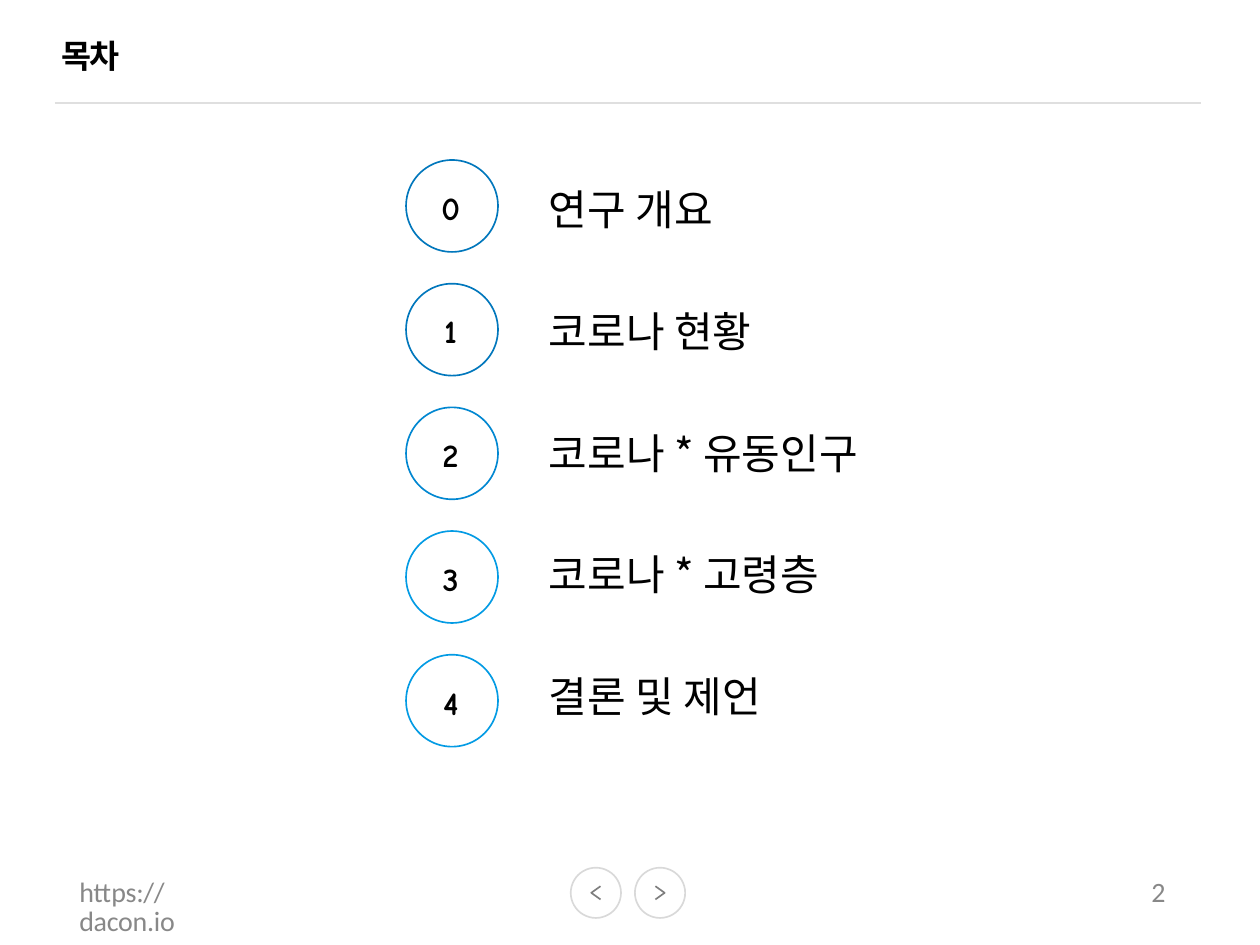
from pptx import Presentation
from pptx.dml.color import RGBColor
from pptx.enum.shapes import MSO_CONNECTOR, MSO_SHAPE
from pptx.enum.text import MSO_ANCHOR, MSO_AUTO_SIZE, PP_ALIGN
from pptx.oxml.ns import qn
from pptx.util import Cm, Pt
from lxml.etree import SubElement

TITLE = "목차"
AGENDA = [
    ("0", "연구 개요", "blue_dark"),
    ("1", "코로나 현황", "blue_dark"),
    ("2", "코로나 * 유동인구", "blue_mid"),
    ("3", "코로나 * 고령층", "blue_light"),
    ("4", "결론 및 제언", "blue_light"),
]
FOOTER = [("https://dacon.io", 1.2, 2.6), ("2", 17.41, 0.6)]
NAVIGATION = [(9.01, -1), (9.98, 1)]

COLORS = {
    "black": "000000",
    "footer": "888888",
    "rule": "DFDFDF",
    "ring": "D9D9D9",
    "chevron": "7E7E7E",
    "blue_dark": "0177BC",
    "blue_mid": "0187D1",
    "blue_light": "039BE4",
}
KOREAN = "Noto Sans CJK KR"
TITLE_FONT = {"name": KOREAN, "size": Pt(14), "bold": True}
LABEL_FONT = {"name": KOREAN, "size": Pt(18)}
NUMBER_FONT = {"name": "Comic Neue", "size": Pt(14), "bold": True}
FOOTER_FONT = {"name": "Calibri", "size": Pt(12)}

SLIDE_WIDTH = Cm(19.05)
SLIDE_HEIGHT = SLIDE_WIDTH * 3 // 4
CIRCLE_LEFT, CIRCLE_TOP, CIRCLE_SIZE, CIRCLE_PITCH = 6.14, 2.42, 1.39, 1.87
LABEL_LEFT, LABEL_TOP, LABEL_PITCH = 8.05, 2.65, 1.84
NAV_MIDDLE, NAV_SIZE = 13.5, 0.76


def color(name):
    return RGBColor.from_string(COLORS[name])


def set_line(shape, name):
    shape.line.color.rgb = color(name)
    shape.line.width = Pt(0.72)


def set_frame(frame, margins=(0, 0, 0, 0), anchor=MSO_ANCHOR.TOP):
    left, top, right, bottom = (Cm(margin) for margin in margins)
    settings = {
        "margin_left": left, "margin_top": top,
        "margin_right": right, "margin_bottom": bottom,
        "word_wrap": True, "auto_size": MSO_AUTO_SIZE.NONE,
        "vertical_anchor": anchor,
    }
    for key, value in settings.items():
        setattr(frame, key, value)


def add_run(paragraph, text, font, color_name="black", spacing=0):
    run = paragraph.add_run()
    run.text = text
    for key, value in font.items():
        setattr(run.font, key, value)
    run.font.color.rgb = color(color_name)
    properties = run.font._element
    SubElement(properties, qn("a:ea")).set("typeface", font["name"])
    if spacing:
        properties.set("spc", str(spacing))


def add_circle(slide, left, top, size, line):
    circle = slide.shapes.add_shape(
        MSO_SHAPE.OVAL, Cm(left), Cm(top), Cm(size), Cm(size))
    circle.shadow.inherit = False
    circle.fill.background()
    set_line(circle, line)
    return circle


def add_box(slide, left, top, width, height, margins=(0, 0, 0, 0)):
    box = slide.shapes.add_textbox(Cm(left), Cm(top), Cm(width), Cm(height))
    set_frame(box.text_frame, margins)
    return box.text_frame.paragraphs[0]


def add_title(slide):
    title = slide.shapes.title
    title.left, title.top, title.width, title.height = (
        Cm(0.93), Cm(0.48), Cm(1.2), Cm(0.66))
    set_frame(title.text_frame, (0, 0.06, 0, 0))
    paragraph = title.text_frame.paragraphs[0]
    paragraph.alignment = PP_ALIGN.LEFT
    add_run(paragraph, TITLE, TITLE_FONT, spacing=-80)
    rule = slide.shapes.add_connector(
        MSO_CONNECTOR.STRAIGHT, Cm(0.83), Cm(1.56), Cm(18.16), Cm(1.56))
    set_line(rule, "rule")
    SubElement(rule._element.spPr, qn("a:effectLst"))


def add_agenda(slide):
    for row, (number, text, line) in enumerate(AGENDA):
        circle = add_circle(
            slide, CIRCLE_LEFT, CIRCLE_TOP + row * CIRCLE_PITCH, CIRCLE_SIZE, line)
        set_frame(circle.text_frame, (0, 0.04, 0.04, 0), MSO_ANCHOR.MIDDLE)
        paragraph = circle.text_frame.paragraphs[0]
        paragraph.alignment = PP_ALIGN.CENTER
        add_run(paragraph, number, NUMBER_FONT)

        label = add_box(slide, LABEL_LEFT, LABEL_TOP + row * LABEL_PITCH,
                        5.9, 1.03, (0.25, 0.13, 0.25, 0.13))
        add_run(label, text, LABEL_FONT)


def add_navigation(slide):
    for center, direction in NAVIGATION:
        add_circle(slide, center - NAV_SIZE / 2, NAV_MIDDLE - NAV_SIZE / 2,
                   NAV_SIZE, "ring")
        back, tip = (Cm(center + side * direction * 0.07) for side in (-1, 1))
        builder = slide.shapes.build_freeform(back, Cm(NAV_MIDDLE - 0.1))
        builder.add_line_segments(
            [(tip, Cm(NAV_MIDDLE)), (back, Cm(NAV_MIDDLE + 0.1))], close=False)
        chevron = builder.convert_to_shape()
        chevron.shadow.inherit = False
        chevron.fill.background()
        set_line(chevron, "chevron")


def add_footer(slide):
    for text, left, width in FOOTER:
        paragraph = add_box(slide, left, 13.3, width, 0.48)
        paragraph.line_spacing = Pt(12.4)
        add_run(paragraph, text, FOOTER_FONT, "footer", spacing=-10)


def main():
    presentation = Presentation()
    presentation.slide_width = SLIDE_WIDTH
    presentation.slide_height = SLIDE_HEIGHT
    slide = presentation.slides.add_slide(presentation.slide_layouts[5])
    add_title(slide)
    add_agenda(slide)
    add_navigation(slide)
    add_footer(slide)
    presentation.save("out.pptx")


if __name__ == "__main__":
    main()
